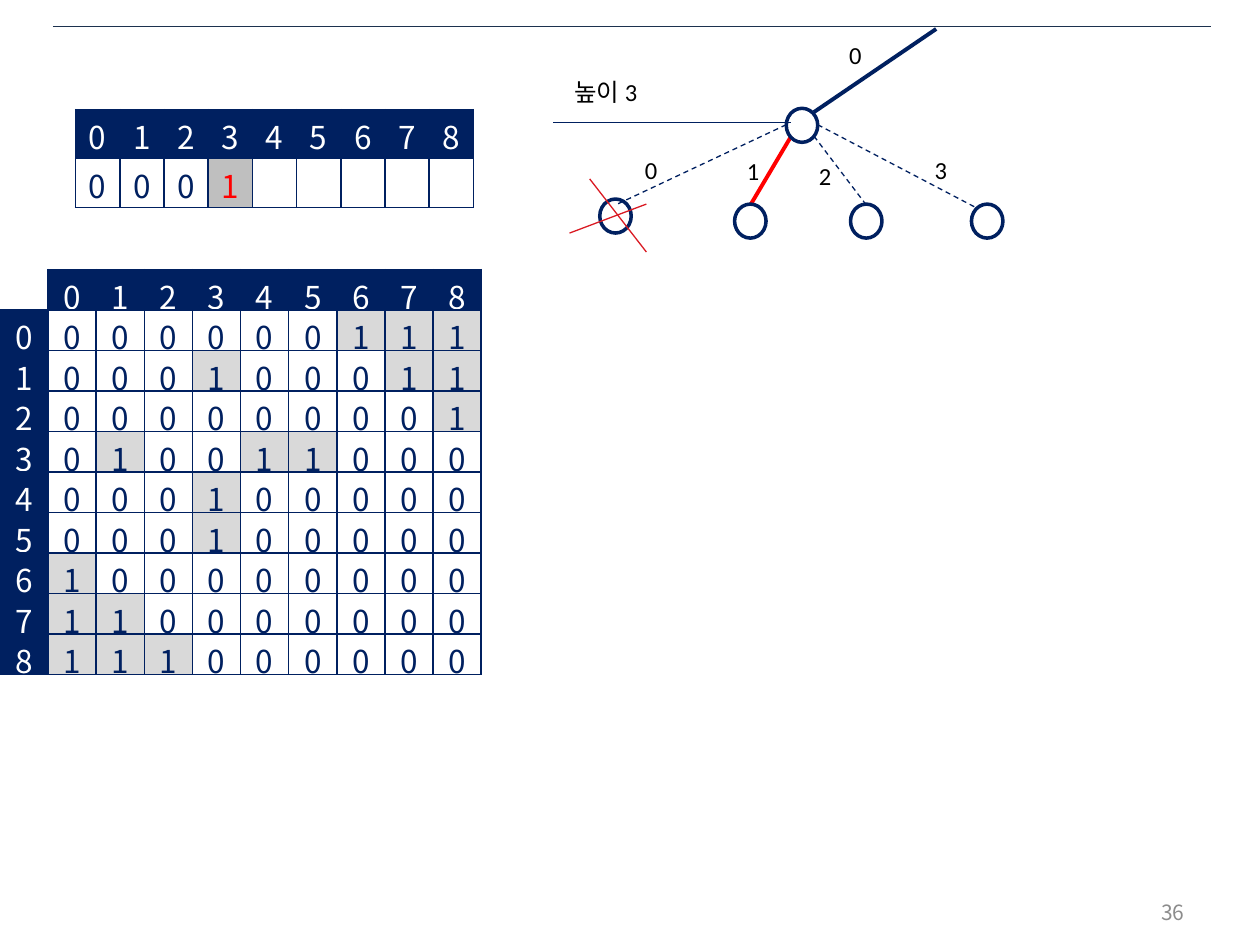
from lxml import etree
from pptx import Presentation
from pptx.dml.color import RGBColor
from pptx.enum.dml import MSO_LINE
from pptx.enum.shapes import MSO_CONNECTOR, MSO_SHAPE
from pptx.enum.text import MSO_ANCHOR, MSO_AUTO_SIZE, PP_ALIGN
from pptx.oxml import parse_xml
from pptx.oxml.ns import nsdecls, qn
from pptx.util import Inches, Pt

NAVY, WHITE, RED, CROSS = "002060", "FFFFFF", "FF0000", "DA1A23"
CJK = "Noto Sans CJK KR"

STATE = ["012345678", "0001     "]
GRID = [
    " 012345678",
    "0000000111",
    "1000100011",
    "2000000001",
    "3010011000",
    "4000100000",
    "5000100000",
    "6100000000",
    "7110000000",
    "8111000000",
]
NODES = [(6.24, 0.86), (4.76, 1.58), (5.83, 1.62), (6.75, 1.62), (7.71, 1.62)]
LINES = [
    (0.42, 0.21, 9.61, 0.21, "1C314E", 0.25, False),
    (6.24, 0.99, 4.9, 1.62, NAVY, 0.75, True),
    (6.28, 1.08, 5.96, 1.62, RED, 2.25, False),
    (6.46, 1.08, 6.87, 1.62, NAVY, 0.75, True),
    (6.49, 0.99, 7.75, 1.65, NAVY, 0.75, True),
    (7.43, 0.23, 6.46, 0.89, NAVY, 2.25, False),
    (4.39, 0.97, 6.28, 0.97, NAVY, 0.75, False),
]
CROSS_LINES = [
    (4.68, 1.42, 5.13, 2, CROSS, 0.75, False),
    (4.52, 1.85, 5.13, 1.62, CROSS, 0.75, False),
]
LABELS = [
    ("0", 4.94, 1.18, 0.38),
    ("1", 5.75, 1.19, 0.38),
    ("2", 6.32, 1.23, 0.38),
    ("3", 7.24, 1.18, 0.38),
    ("0", 6.56, 0.27, 0.38),
    ("높이 3", 4.38, 0.56, 0.86),
]


def rgb(value):
    return RGBColor.from_string(value)


def add_run(p, text, size, font, color):
    r = p.add_run()
    r.text = text
    r.font.size, r.font.name, r.font.bold = Pt(size), font, False
    r.font.color.rgb = rgb(color)


def add_line(s, x1, y1, x2, y2, color, width, dashed):
    ln = s.shapes.add_connector(MSO_CONNECTOR.STRAIGHT, *map(Inches, (x1, y1, x2, y2)))
    ln.line.color.rgb = rgb(color)
    ln.line.width = Pt(width)
    if dashed:
        ln.line.dash_style = MSO_LINE.DASH
    etree.SubElement(ln._element.spPr, qn("a:effectLst"))


def add_node(s, x, y):
    sp = s.shapes.add_shape(MSO_SHAPE.OVAL, *map(Inches, (x, y, 0.25, 0.27)))
    sp.shadow.inherit = False
    sp.fill.background()
    sp.line.color.rgb = rgb(NAVY)
    sp.line.width = Pt(2)


def add_label(s, text, x, y, w):
    tf = s.shapes.add_textbox(*map(Inches, (x, y, w, 0.34))).text_frame
    tf.word_wrap = False
    tf.auto_size = MSO_AUTO_SIZE.SHAPE_TO_FIT_TEXT
    p = tf.paragraphs[0]
    p.space_before = p.space_after = Pt(2)
    p._p.get_or_add_pPr().set("marL", str(Inches(0.08)))
    add_run(p, text, 14, "Calibri", "000000")


def set_borders(cell, sides):
    tcPr = cell._tc.get_or_add_tcPr()
    for i, side in enumerate("LRTB"):
        paint = f'<a:solidFill><a:srgbClr val="{NAVY}"/></a:solidFill>' if side in sides else "<a:noFill/>"
        tcPr.insert(i, parse_xml(f'<a:ln{side} {nsdecls("a")} w="12700">{paint}</a:ln{side}>'))


def add_grid(s, rows, x, y, w, h, row_h, header_col, mark_fill, mark_color):
    n = len(rows[0])
    gf = s.shapes.add_table(len(rows), n, *map(Inches, (x, y, w, h)))
    t = gf.table
    t.first_row = t.horz_banding = False
    for col in t.columns:
        col.width = Inches(w / n)
    for i, row in enumerate(rows):
        t.rows[i].height = Inches(row_h)
        for j, ch in enumerate(row):
            cell = t.cell(i, j)
            corner = header_col and i == j == 0
            header = i == 0 or (header_col and j == 0)
            marked = ch == "1" and not header
            fill = NAVY if header and not corner else mark_fill if marked else None
            cell.margin_left = cell.margin_right = Inches(0.07)
            cell.margin_top = cell.margin_bottom = 0
            cell.vertical_anchor = MSO_ANCHOR.MIDDLE
            if fill:
                cell.fill.solid()
                cell.fill.fore_color.rgb = rgb(fill)
            else:
                cell.fill.background()
            set_borders(cell, "RB" if corner else "LRTB")
            p = cell.text_frame.paragraphs[0]
            p.alignment, p.line_spacing = PP_ALIGN.CENTER, 1.07
            if ch != " ":
                add_run(p, ch, 18, CJK, WHITE if header else mark_color if marked else NAVY)
    gf.height = Inches(h)


prs = Presentation()
prs.slide_width, prs.slide_height = Inches(10), Inches(7.5)
s = prs.slides.add_slide(prs.slide_layouts[6])

add_grid(s, STATE, 0.6, 0.87, 3.16, 0.64, 0.31, False, "BFBFBF", RED)
for line in LINES:
    add_line(s, *line)
for node in NODES:
    add_node(s, *node)
for label in LABELS:
    add_label(s, *label)
add_grid(s, GRID, 0, 2.14, 3.82, 3.21, 0.27, True, "D9D9D9", NAVY)
for line in CROSS_LINES:
    add_line(s, *line)

tf = s.shapes.add_textbox(*map(Inches, (7.17, 7.04, 2.33, 0.4))).text_frame
tf.word_wrap = True
tf.vertical_anchor = MSO_ANCHOR.MIDDLE
p = tf.paragraphs[0]
p.alignment = PP_ALIGN.RIGHT
add_run(p, "36", 12, CJK, "8C8C8C")

prs.save("out.pptx")
